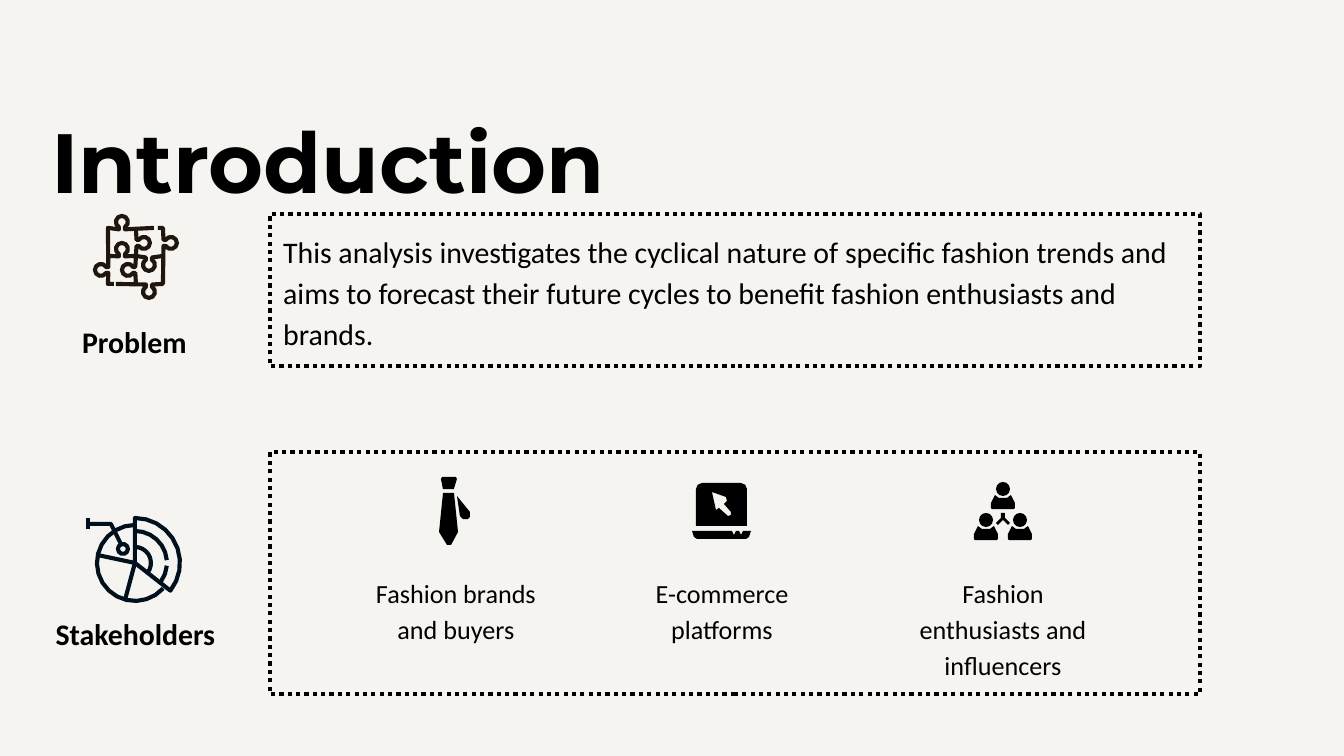
"""Build the Introduction slide: the problem and the stakeholders of a fashion trend analysis."""
import math
import pptx
import pptx.dml.color
import pptx.enum.dml
import pptx.enum.shapes
import pptx.enum.text
import pptx.util

PX = 914400 / 134.4
THEME = {
    "paper": "F6F4F1", "ink": "000000", "brown": "20160E", "navy": "00101C",
    "heading_font": "Montserrat", "body_font": "Calibri",
    "title": 45, "body": 16, "label": 14,
    "icon_stroke": 2.2, "frame_stroke": 2.25,
}
INK = pptx.dml.color.RGBColor.from_string(THEME["ink"])
SHAPE = pptx.enum.shapes.MSO_SHAPE
ALIGN = pptx.enum.text.PP_ALIGN
ANCHOR = pptx.enum.text.MSO_ANCHOR


def arc(x, y, radius, start, end):
    steps = max(2, round((end - start) / (36 if radius < 10 else 15)))
    angles = [math.radians(start + (end - start) * i / steps) for i in range(steps + 1)]
    return [(x + radius * math.cos(a), y + radius * math.sin(a)) for a in angles]


def knob(x, y, opening):
    neck = arc(x, y, 8, opening + 22, opening + 338)
    return [neck[0]] + arc(x, y, 6, opening + 30, opening + 330) + [neck[-1]]


deck = pptx.Presentation()
deck.slide_width, deck.slide_height = round(1344 * PX), round(756 * PX)
slide = deck.slides.add_slide(deck.slide_layouts[6])
slide.background.fill.solid()
slide.background.fill.fore_color.rgb = pptx.dml.color.RGBColor.from_string(THEME["paper"])

frames = []
for top, height in ((214, 152), (452, 242)):
    frame = slide.shapes.add_shape(
        SHAPE.RECTANGLE, *(round(v * PX) for v in (270, top, 930, height)))
    frame.shadow.inherit = False
    frame.fill.background()
    frame.line.color.rgb = INK
    frame.line.width = pptx.util.Pt(THEME["frame_stroke"])
    frame.line.dash_style = pptx.enum.dml.MSO_LINE.ROUND_DOT
    frames.append(frame)

puzzle = [
    [(114, 284), (108, 284), *knob(101, 270, 0), (108, 228), *knob(122, 222, 90), (154, 228)],
    [(158, 228), (163, 228), *knob(171, 243, 180), (163, 284), *knob(149, 292, 270), (116, 284)],
    [(136, 284), *knob(128, 270, 0), (136, 256)],
    [(136, 228), *knob(144, 243, 180), (136, 256)],
    [(108, 256), *knob(122, 249, 90), (136, 256)],
    [(163, 256), *knob(149, 265, 270), (136, 256)],
]
hub = (135, 563)
wheel = [
    arc(*hub, 38, 42, 270),
    [hub, *arc(*hub, 45, -90, 38), hub],
    [hub, arc(*hub, 38, 192, 270)[0]],
    [hub, arc(*hub, 38, 105, 270)[0]],
    arc(*hub, 16, -90, 38),
    arc(*hub, 32, -90, -5),
    arc(*hub, 32, 5, 36),
    arc(123, 549, 5, 0, 360),
    [(88, 518), (88, 529)],
    [(88, 524), (111, 524), (121, 544)],
]
tie = [
    [(442, 477), (441, 479), (443, 489), (454, 489), (457, 479), (456, 477)],
    [(443, 493), (439, 532), (447, 545), (451, 545), (458, 532), (454, 493)],
    [(457, 496), (460, 516), (463, 519), (468, 519), (470, 517), (470, 512)],
]
laptop_base = [
    (692, 531), (694, 537), (697, 539), (746, 539), (749, 537), (751, 531),
    (743, 531), (741, 535), (739, 531), (736, 531), (734, 535), (732, 531)]
laptop_screen = [
    (696, 526), *arc(702, 489, 6, 180, 270), *arc(741, 489, 6, 270, 360), (747, 526)]
cursor = [
    (712, 492), (726, 497), (727, 501), (724, 504), (731, 512), (731, 515),
    (728, 516), (719, 508), (716, 510)]
people_link = [
    (1001, 513), (1001, 518), (996, 523), (998, 525), (1003, 520),
    (1008, 525), (1010, 523), (1005, 518), (1005, 513)]
shoulders = [
    (-8, 6), (-12, 14), (-12, 19), (-11, 20), (11, 20), (12, 19),
    (12, 14), (8, 6), (4, 9), (-4, 9)]
people = [people_link]
for x, y in ((1003, 489), (986, 520), (1020, 520)):
    head = slide.shapes.add_shape(
        SHAPE.OVAL, *(round(v * PX) for v in (x - 7, y - 7, 14, 14)))
    head.shadow.inherit = False
    head.fill.solid()
    head.fill.fore_color.rgb = INK
    head.line.fill.background()
    people.append([(x + dx, y + dy) for dx, dy in shoulders])

drawings = [(puzzle, "brown", True), (wheel, "navy", True)]
for solid in [[part] for part in tie + people + [laptop_base]] + [[laptop_screen, cursor]]:
    drawings.append((solid, "ink", False))

for contours, tint, stroked in drawings:
    outline = None
    for contour in contours:
        start, *rest = [(x * PX, y * PX) for x, y in contour]
        if outline is None:
            outline = slide.shapes.build_freeform(*start, scale=1.0)
        else:
            outline.move_to(*start)
        outline.add_line_segments(rest, close=not stroked)
    icon = outline.convert_to_shape()
    icon.shadow.inherit = False
    paint, unused = (icon.line.fill, icon.fill) if stroked else (icon.fill, icon.line.fill)
    unused.background()
    paint.solid()
    paint.fore_color.rgb = pptx.dml.color.RGBColor.from_string(THEME[tint])
    if stroked:
        icon.line.width = pptx.util.Pt(THEME["icon_stroke"])

passages = [
    (frames[0], "This analysis investigates the cyclical nature of specific fashion trends and "
     "aims to forecast their future cycles to benefit fashion enthusiasts and brands.",
     "body", False, ALIGN.LEFT, 1.15),
    ((51, 43, 675, 102), "Introduction", "title", True, ALIGN.LEFT, 1.66),
    ((69, 310, 180, 56), "Problem", "body", True, ALIGN.LEFT, 1.0),
    ((26, 602, 219, 56), "Stakeholders", "body", True, ALIGN.CENTER, 1.0),
]
for left, stakeholder in ((351, "Fashion brands and buyers"), (617, "E-commerce platforms"),
                          (898, "Fashion enthusiasts and influencers")):
    passages.append(((left, 559, 210, 58), stakeholder, "label", False, ALIGN.CENTER, 1.15))

for place, wording, size, bold, align, spacing in passages:
    framed = place is frames[0]
    holder = place if framed else slide.shapes.add_textbox(*(round(v * PX) for v in place))
    body = holder.text_frame
    body.word_wrap = True
    body.vertical_anchor = ANCHOR.MIDDLE if framed else ANCHOR.TOP
    inset = pptx.util.Inches(0 if size == "title" else 0.1)
    body.margin_left = body.margin_right = body.margin_top = body.margin_bottom = inset
    if size == "title":
        body.auto_size = pptx.enum.text.MSO_AUTO_SIZE.SHAPE_TO_FIT_TEXT
    paragraph = body.paragraphs[0]
    paragraph.alignment = align
    paragraph.line_spacing = spacing
    run = paragraph.add_run()
    run.text = wording
    run.font.name = THEME["heading_font" if size == "title" else "body_font"]
    run.font.size = pptx.util.Pt(THEME[size])
    run.font.bold = bold
    run.font.color.rgb = INK

deck.save("out.pptx")
